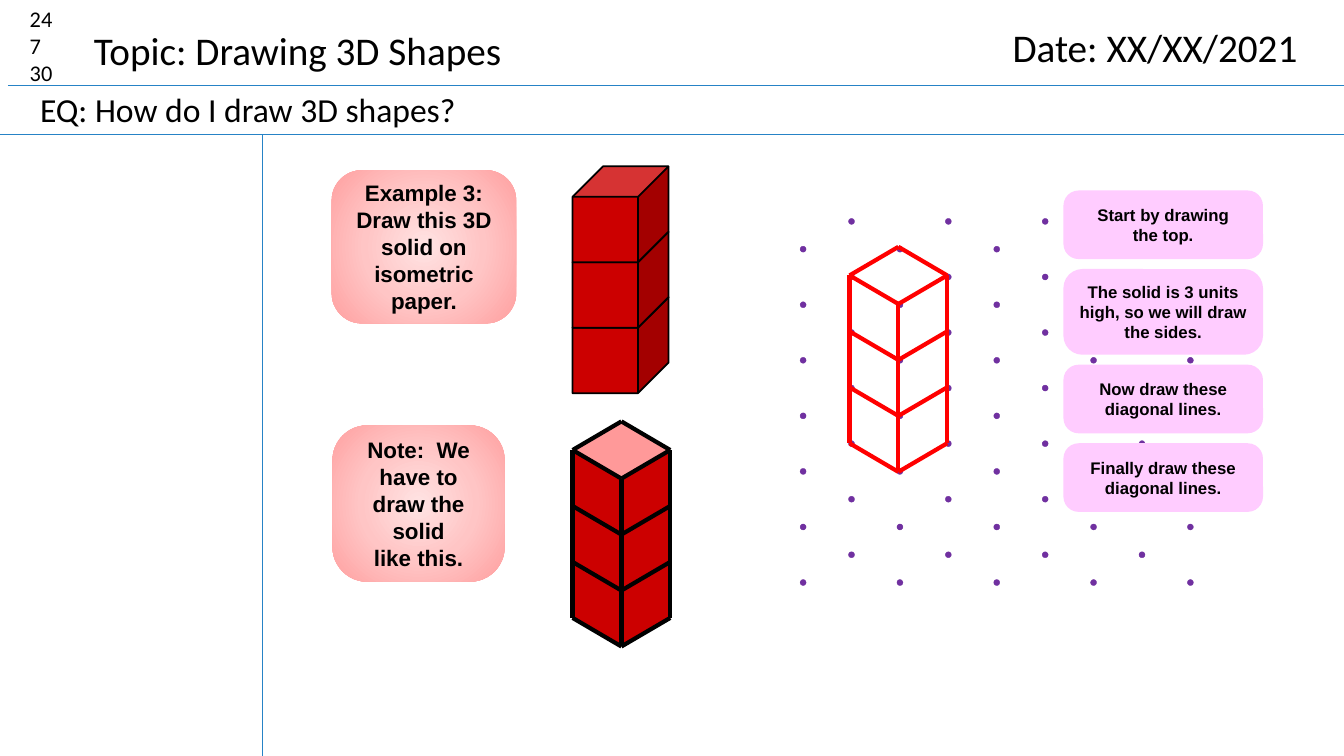
from dataclasses import dataclass

from pptx import Presentation
from pptx.dml.color import RGBColor
from pptx.enum.shapes import MSO_CONNECTOR, MSO_SHAPE
from pptx.enum.text import MSO_ANCHOR, MSO_AUTO_SIZE, PP_ALIGN
from pptx.oxml import parse_xml
from pptx.oxml.ns import nsdecls, qn
from pptx.util import Cm, Pt


@dataclass(frozen=True)
class Theme:
    ink: str = "000000"
    rule: str = "2683C6"
    dot: str = "7030A0"
    solid: str = "CC0000"
    solid_top: str = "FF9999"
    sketch: str = "FF0000"
    caption: str = "FFCCFF"
    note: tuple = ((0, "FFE3E3"), (50, "FFC5C5"), (100, "FFA0A0"))
    heading_font: str = "Calibri"
    note_font: str = "Arial"
    heading_size: int = 28
    question_size: int = 24
    note_size: int = 16
    caption_size: int = 12


THEME = Theme()
ISO_WIDTH, ISO_RISE, ISO_UNIT, FLOORS = 1.23, 0.72, 1.41, 3
CUBE_SIZE, CUBE_STEP = 2.42, 1.65
DOT_SIZE, DOT_COLUMN, DOT_ROW = 0.15, 1.22, 0.7
LAST_COLUMNS = (5, 5, 5, 5, 5, 8, 5, 5, 7, 5, 5, 8, 7, 8)


def cms(*lengths):
    return [Cm(length) for length in lengths]


def write(frame, text, font, size, bold=False, align=PP_ALIGN.LEFT):
    frame.text = text
    for paragraph in frame.paragraphs:
        paragraph.alignment = align
        for run in paragraph.runs:
            run.font.name = font
            run.font.size = Pt(size)
            run.font.bold = bold
            run.font.color.rgb = RGBColor.from_string(THEME.ink)


def place_heading(heading, box, text, size, wrap=True):
    heading.left, heading.top, heading.width, heading.height = cms(*box)
    frame = heading.text_frame
    frame.word_wrap = wrap
    frame.auto_size = MSO_AUTO_SIZE.NONE
    frame.vertical_anchor = MSO_ANCHOR.TOP
    write(frame, text, THEME.heading_font, size)


def add_heading(slide, box, text, size):
    place_heading(slide.shapes.add_textbox(*cms(*box)), box, text, size)


def paint(shape, fill, line=None, weight=1):
    shape.shadow.inherit = False
    shape.fill.solid()
    shape.fill.fore_color.rgb = RGBColor.from_string(fill)
    if line:
        shape.line.color.rgb = RGBColor.from_string(line)
        shape.line.width = Pt(weight)
    else:
        shape.line.fill.background()


def add_painted(slide, kind, box, fill, line=None, weight=1, adjust=None):
    shape = slide.shapes.add_shape(kind, *cms(*box))
    paint(shape, fill, line, weight)
    if adjust is not None:
        shape.adjustments[0] = adjust
    return shape


def add_line(slide, start, end, color, weight):
    line = slide.shapes.add_connector(MSO_CONNECTOR.STRAIGHT, *cms(*start, *end))
    line.line.color.rgb = RGBColor.from_string(color)
    line.line.width = Pt(weight)
    line._element.spPr.append(parse_xml(f"<a:effectLst {nsdecls('a')}/>"))


def add_bubble(slide, box, text, size, fill, adjust, inset):
    bubble = add_painted(slide, MSO_SHAPE.ROUNDED_RECTANGLE, box, fill, adjust=adjust)
    frame = bubble.text_frame
    frame.word_wrap = True
    frame.vertical_anchor = MSO_ANCHOR.MIDDLE
    frame.margin_left = frame.margin_right = Cm(inset)
    frame.margin_top = frame.margin_bottom = 0
    write(frame, text, THEME.note_font, size, True, PP_ALIGN.CENTER)
    return bubble


def add_note(slide, box, text, adjust):
    note = add_bubble(slide, box, text, THEME.note_size, THEME.note[0][1], adjust, 0.22)
    stops = "".join(
        f'<a:gs pos="{position * 1000}"><a:srgbClr val="{color}"/></a:gs>'
        for position, color in THEME.note
    )
    gradient = parse_xml(
        f'<a:gradFill {nsdecls("a")} rotWithShape="1"><a:gsLst>{stops}</a:gsLst>'
        '<a:path path="circle"><a:fillToRect l="50000" t="50000" r="50000" b="50000"/>'
        "</a:path></a:gradFill>"
    )
    properties = note._element.spPr
    properties.replace(properties.find(qn("a:solidFill")), gradient)


def add_captions(slide, left, top, width, gap, captions):
    for height, text in captions:
        add_bubble(slide, (left, top, width, height), text, THEME.caption_size,
                   THEME.caption, 0.222, 0.2)
        top += height + gap


def add_dot_paper(slide, left, top):
    for row, last in enumerate(LAST_COLUMNS):
        for column in range((row + 1) % 2, last + 1, 2):
            x = left + column * DOT_COLUMN - DOT_SIZE / 2
            y = top + row * DOT_ROW - DOT_SIZE / 2
            add_painted(slide, MSO_SHAPE.OVAL, (x, y, DOT_SIZE, DOT_SIZE),
                        THEME.dot, THEME.dot, 0.25)


def add_cube_stack(slide, left, top):
    for floor in reversed(range(FLOORS)):
        box = (left, top + floor * CUBE_STEP, CUBE_SIZE, CUBE_SIZE)
        add_painted(slide, MSO_SHAPE.CUBE, box, THEME.solid, THEME.ink, 1.25, 0.319)


def add_tower_faces(slide, left, top):
    length = FLOORS * ISO_UNIT + ISO_RISE
    middle_y = top + ISO_RISE + length / 2
    for side, rotation in enumerate((90, 270)):
        middle_x = left + ISO_WIDTH * (side + 0.5)
        box = (middle_x - length / 2, middle_y - ISO_WIDTH / 2, length, ISO_WIDTH)
        face = add_painted(slide, MSO_SHAPE.PARALLELOGRAM, box, THEME.solid, adjust=0.567)
        face.rotation = rotation
        if side:
            face._element.spPr.get_or_add_xfrm().set("flipH", "1")
    add_painted(slide, MSO_SHAPE.DIAMOND,
                (left, top, 2 * ISO_WIDTH, 2 * ISO_RISE), THEME.solid)
    corners = [(1, 0), (0, 1), (1, 2), (2, 1)]
    points = [cms(left + x * ISO_WIDTH, top + y * ISO_RISE) for x, y in corners]
    outline = slide.shapes.build_freeform(*points[0], scale=1.0)
    outline.add_line_segments(points[1:], close=True)
    paint(outline.convert_to_shape(), THEME.solid_top)


def add_tower_edges(slide, left, top, color):
    middle, right = left + ISO_WIDTH, left + 2 * ISO_WIDTH
    shoulder, front = top + ISO_RISE, top + 2 * ISO_RISE
    drop = FLOORS * ISO_UNIT
    edges = [((middle, top), (side, shoulder)) for side in (left, right)]
    edges += [((x, y), (x, y + drop))
              for x, y in ((left, shoulder), (middle, front), (right, shoulder))]
    edges += [((side, shoulder + floor * ISO_UNIT), (middle, front + floor * ISO_UNIT))
              for floor in range(FLOORS + 1) for side in (left, right)]
    for start, end in edges:
        add_line(slide, start, end, color, 3)


def main():
    deck = Presentation()
    deck.slide_width, deck.slide_height = cms(33.87, 19.05)
    slide = deck.slides.add_slide(deck.slide_layouts[5])

    for start, end in (((0.2, 2.16), (33.87, 2.16)), ((0, 3.4), (33.87, 3.4)),
                       ((6.62, 3.4), (6.62, 19.05))):
        add_line(slide, start, end, THEME.rule, 0.75)
    place_heading(slide.shapes.title, (2.11, 0.53, 10.9, 1.45),
                  "Topic: Drawing 3D Shapes", THEME.heading_size, False)
    add_heading(slide, (0.5, 0, 1.6, 2.31), "24\n7\n30", THEME.note_size)
    add_heading(slide, (0.76, 2.11, 29.57, 1.27),
                "EQ: How do I draw 3D shapes?", THEME.question_size)
    add_heading(slide, (25.27, 0.46, 8.33, 1.45), "Date: XX/XX/2021", THEME.heading_size)

    add_tower_faces(slide, 14.43, 10.62)
    add_dot_paper(slide, 20.24, 5.58)
    add_cube_stack(slide, 14.43, 4.19)
    add_tower_edges(slide, 21.41, 6.22, THEME.sketch)
    add_tower_edges(slide, 14.43, 10.62, THEME.ink)

    add_captions(slide, 26.8, 4.8, 5.03, 0.25, (
        (1.73, "Start by drawing\nthe top."),
        (2.16, "The solid is 3 units high, so we will draw the sides."),
        (1.73, "Now draw these diagonal lines."),
        (1.73, "Finally draw these diagonal lines."),
    ))
    add_note(slide, (8.38, 10.72, 4.34, 3.94),
             "Note:  We have to draw the solid\nlike this.", 0.222)
    add_note(slide, (8.36, 4.29, 4.65, 3.86),
             "Example 3:\nDraw this 3D solid on\nisometric paper.", 0.196)
    deck.save("out.pptx")


if __name__ == "__main__":
    main()
